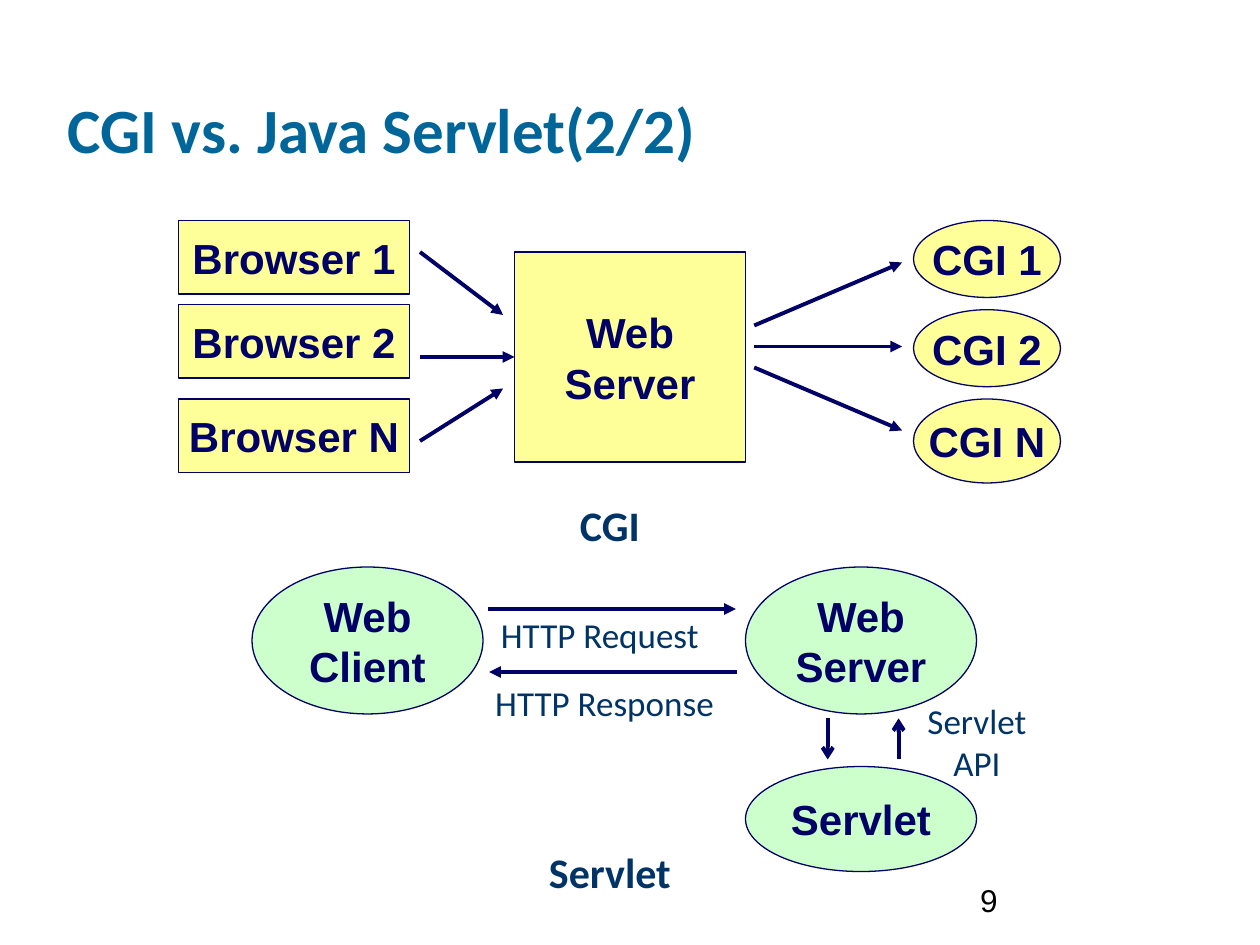
from lxml import etree
from pptx import Presentation
from pptx.dml.color import RGBColor
from pptx.enum import shapes, text
from pptx.oxml import ns
from pptx.util import Pt

NAVY = RGBColor(0x00, 0x00, 0x66)
SLATE = RGBColor(0x00, 0x33, 0x66)
TEAL = RGBColor(0x00, 0x66, 0x99)
YELLOW = RGBColor(0xFF, 0xFF, 0x99)
GREEN = RGBColor(0xCC, 0xFF, 0xCC)
BLACK = RGBColor(0x00, 0x00, 0x00)
RECT = shapes.MSO_SHAPE.RECTANGLE
OVAL = shapes.MSO_SHAPE.OVAL
LEFT, CENTER = text.PP_ALIGN.LEFT, text.PP_ALIGN.CENTER


def write(tf, words, size, color, font, bold=False, align=CENTER):
    tf.text = words
    for p in tf.paragraphs:
        p.alignment = align
        p.font.size = Pt(size)
        p.font.name = font
        p.font.bold = bold
        p.font.color.rgb = color


def node(s, kind, words, x, y, w, h, fill):
    sp = s.shapes.add_shape(kind, Pt(x), Pt(y), Pt(w), Pt(h))
    sp.shadow.inherit = False
    sp.fill.solid()
    sp.fill.fore_color.rgb = fill
    sp.line.color.rgb = NAVY
    sp.line.width = Pt(0.75)
    tf = sp.text_frame
    tf.word_wrap = False
    tf.vertical_anchor = text.MSO_ANCHOR.MIDDLE
    write(tf, words, 24, NAVY, "Arial", True)


def label(s, words, x, y, w, h, size=20, bold=False):
    tf = s.shapes.add_textbox(Pt(x), Pt(y), Pt(w), Pt(h)).text_frame
    tf.word_wrap = False
    write(tf, words, size, SLATE, "Calibri", bold)


def arrow(s, x1, y1, x2, y2, head="triangle"):
    cx = s.shapes.add_connector(
        shapes.MSO_CONNECTOR.STRAIGHT, Pt(x1), Pt(y1), Pt(x2), Pt(y2))
    cx.line.color.rgb = NAVY
    cx.line.width = Pt(2.25)
    etree.SubElement(cx.line._get_or_add_ln(), ns.qn("a:tailEnd"), type=head)
    etree.SubElement(cx._element.spPr, ns.qn("a:effectLst"))


def title(s, x, y, w, h):
    sp = s.shapes.title
    sp.left, sp.top, sp.width, sp.height = Pt(x), Pt(y), Pt(w), Pt(h)
    tf = sp.text_frame
    tf.auto_size = text.MSO_AUTO_SIZE.NONE
    tf.vertical_anchor = text.MSO_ANCHOR.BOTTOM
    write(tf, "CGI vs. Java Servlet(2/2)", 36, TEAL, "Calibri", True, LEFT)


def cgi_diagram(s, x, y):
    for name, dy in (("1", 0), ("2", 48), ("N", 102)):
        node(s, RECT, f"Browser {name}", x, y + dy, 132, 42, YELLOW)
    node(s, RECT, "Web\nServer", x + 192, y + 18, 132, 120, YELLOW)
    for name, dy, h in (("1", 0, 44), ("2", 51, 44), ("N", 102, 48)):
        node(s, OVAL, f"CGI {name}", x + 420, y + dy, 84, h, YELLOW)
    for y1, x2, y2 in ((18, 185.5, 54), (78, 192, 78), (126, 185.5, 96)):
        arrow(s, x + 138, y + y1, x + x2, y + y2)
    for y1, y2 in ((60, 24), (72, 72), (84, 120)):
        arrow(s, x + 329, y + y1, x + 413.5, y + y2)
    label(s, "CGI", x + 218.5, y + 156, 56, 36, 24, True)


def servlet_diagram(s, x, y):
    node(s, OVAL, "Web\nClient", x, y, 132, 84, GREEN)
    node(s, OVAL, "Web\nServer", x + 282, y, 132, 84, GREEN)
    node(s, OVAL, "Servlet", x + 282, y + 114, 132, 60, GREEN)
    arrow(s, x + 135, y + 24, x + 276.5, y + 24)
    arrow(s, x + 277, y + 60, x + 135.5, y + 60)
    arrow(s, x + 329, y + 86.5, x + 329, y + 110, "arrow")
    arrow(s, x + 369.5, y + 110, x + 369.5, y + 86.5, "arrow")
    label(s, "HTTP Request", x + 126, y + 23, 145.5, 32)
    label(s, "HTTP Response", x + 121.5, y + 62, 160, 32)
    label(s, "Servlet\nAPI", x + 375, y + 72, 78.5, 55.5)
    label(s, "Servlet", x + 155.5, y + 156, 98, 36, 24, True)


def slide_number(s, x, y, w, h):
    tf = s.shapes.add_textbox(Pt(x), Pt(y), Pt(w), Pt(h)).text_frame
    tf.word_wrap = True
    tf.vertical_anchor = text.MSO_ANCHOR.BOTTOM
    write(tf, "9", 18, BLACK, "Arial", align=LEFT)


def main():
    prs = Presentation()
    prs.slide_width, prs.slide_height = Pt(720), Pt(540)
    s = prs.slides.add_slide(prs.slide_layouts[5])
    title(s, 31.5, 8.5, 612, 90)
    cgi_diagram(s, 102, 126)
    servlet_diagram(s, 144, 324)
    slide_number(s, 553, 492.5, 150, 36)
    prs.save("out.pptx")


if __name__ == "__main__":
    main()
